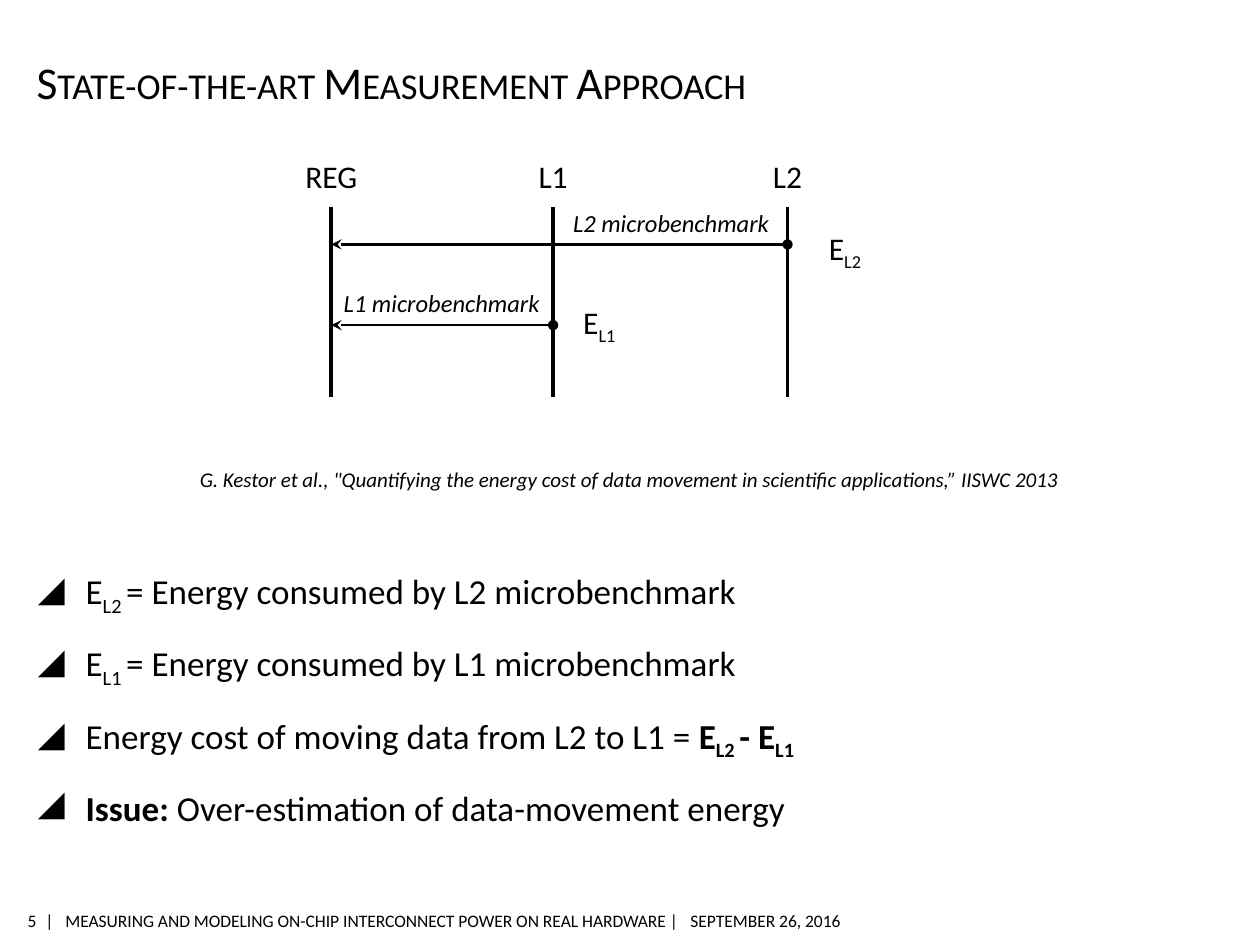
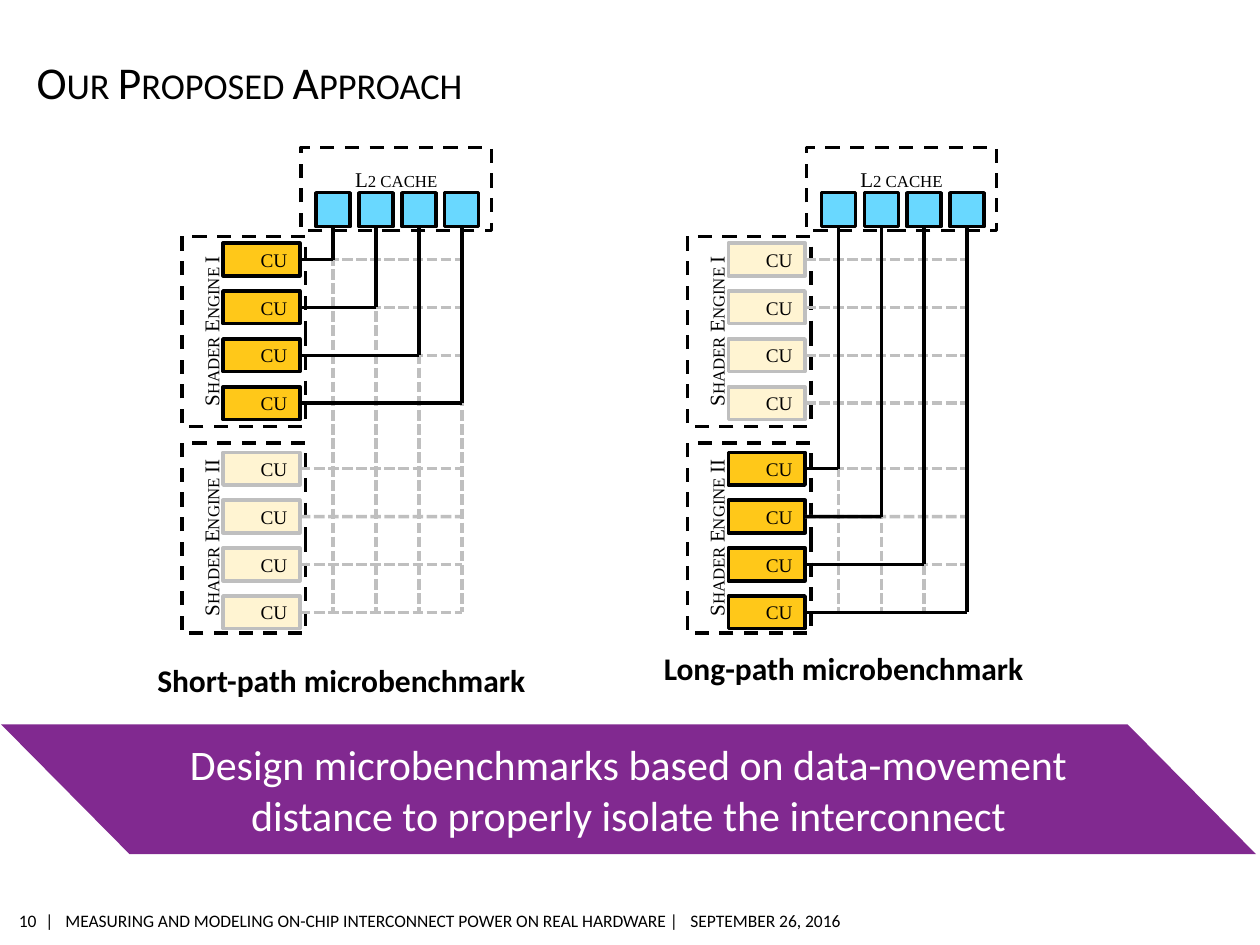
from lxml import etree
from pptx import Presentation
from pptx.dml.color import RGBColor
from pptx.enum.dml import MSO_LINE
from pptx.enum.shapes import MSO_CONNECTOR, MSO_SHAPE
from pptx.enum.text import MSO_ANCHOR, PP_ALIGN
from pptx.oxml.ns import qn
from pptx.util import Inches, Pt

# Shared look
BLACK = RGBColor(0x00, 0x00, 0x00)
WHITE = RGBColor(0xFF, 0xFF, 0xFF)
GREY = RGBColor(0xBF, 0xBF, 0xBF)
BLUE = RGBColor(0x69, 0xD8, 0xFF)
AMBER = RGBColor(0xFF, 0xC8, 0x19)
PALE_AMBER = RGBColor(0xFF, 0xDA, 0x65)
PURPLE = RGBColor(0x81, 0x29, 0x90)
SANS, SERIF = "Calibri", "Times New Roman"
LEFT, CENTER, RIGHT = PP_ALIGN.LEFT, PP_ALIGN.CENTER, PP_ALIGN.RIGHT
TOP, MIDDLE, BOTTOM = MSO_ANCHOR.TOP, MSO_ANCHOR.MIDDLE, MSO_ANCHOR.BOTTOM
DASH, SHORT_DASH = MSO_LINE.DASH, MSO_LINE.SQUARE_DOT
RECTANGLE, PARALLELOGRAM = MSO_SHAPE.RECTANGLE, MSO_SHAPE.PARALLELOGRAM
STRAIGHT = MSO_CONNECTOR.STRAIGHT
BOTTOM_SIDE, RIGHT_SIDE = 2, 3
DEFAULT_INSETS = (0.1, 0.05, 0.1, 0.05)

FOOTER = ("|\tMEASURING AND MODELING ON-CHIP INTERCONNECT POWER ON REAL HARDWARE |"
          "\tSEPTEMBER 26, 2016")
FOOTER_TABS = (0.16, 5.12)

# Slide 5: runs are (text, style), where style holds "s" for subscript, "b" for bold
STATE_TITLE = "State-of-the-art Measurement Approach"
LEVELS = {"REG": (2.63, 1.2), "L1": (4.39, 0.72), "L2": (6.25, 0.72)}  # x, label width
LEVEL_TOP, LEVEL_BOTTOM = 1.64, 3.15
MEASUREMENTS = [  # level, arrow y, benchmark label place, energy label place
    ("L2", 1.94, (4.45, 1.6), (6.48, 1.77)),
    ("L1", 2.58, (2.63, 2.24), (4.53, 2.36)),
]
CITATION = ('G. Kestor et al., "Quantifying the energy cost of data movement '
            'in scientific applications,” IISWC 2013')
BULLETS = [
    [("E", ""), ("L2 ", "s"), ("= Energy consumed by L2 microbenchmark", "")],
    [("E", ""), ("L1 ", "s"), ("= Energy consumed by L1 microbenchmark", "")],
    [("Energy cost of moving data from L2 to L1 = ", ""), ("E", "b"), ("L2 ", "bs"),
     ("- E", "b"), ("L1", "bs")],
    [("Issue:", "b"), (" Over-estimation of data-movement energy", "")],
]

# Slide 10: places belong to the left diagram; the right one is shifted
PROPOSED_TITLE = "Our Proposed Approach"
DIAGRAMS = [  # shift, active engine, caption, caption place
    (0, 0, "Short-path microbenchmark", (1.15, 5.2)),
    (4.01, 1, "Long-path microbenchmark", (5.17, 5.1)),
]
ENGINES = [("Shader Engine I", 2.14, 1.93), ("Shader Engine II", 3.78, 3.59)]
UNITS, UNIT_STEP = 4, 0.38
UNIT_LEFT, UNIT_WIDTH, UNIT_HEIGHT = 1.77, 0.61, 0.26
BANK_LEFT, BANK_TOP, BANK_SIZE, BANK_STEP = 2.51, 1.53, 0.27, 0.34
GRID_BOTTOM = 4.86
MESSAGE = ("Design microbenchmarks based on data-movement distance "
           "to properly isolate the interconnect")


def add_child(parent, tag, **attributes):
    child = etree.SubElement(parent, qn(tag))
    for name, value in attributes.items():
        child.set(name, value)
    return child


def set_frame(shape, anchor, insets):
    frame = shape.text_frame
    frame.word_wrap = True
    frame.vertical_anchor = anchor
    (frame.margin_left, frame.margin_top,
     frame.margin_right, frame.margin_bottom) = map(Inches, insets)
    return frame


def style_paragraph(paragraph, size, align=LEFT, font=SANS, color=BLACK,
                    bold=False, italic=False, small_caps=False):
    paragraph.alignment = align
    paragraph.font.size = Pt(size)
    paragraph.font.name = font
    paragraph.font.color.rgb = color
    paragraph.font.bold = bold
    paragraph.font.italic = italic
    if small_caps:
        paragraph.font._element.set("cap", "small")


def add_runs(paragraph, runs):
    for text, style in runs:
        run = paragraph.add_run()
        run.text = text
        if "b" in style:
            run.font.bold = True
        if "s" in style:
            run.font._element.set("baseline", "-25000")


def add_text(slide, place, runs, size, anchor=TOP, insets=DEFAULT_INSETS, tabs=(), **style):
    box = slide.shapes.add_textbox(*map(Inches, place))
    paragraph = set_frame(box, anchor, insets).paragraphs[0]
    add_runs(paragraph, [(runs, "")] if isinstance(runs, str) else runs)
    if tabs:
        tab_list = add_child(paragraph._p.get_or_add_pPr(), "a:tabLst")
        for position in tabs:
            add_child(tab_list, "a:tab", pos=str(Inches(position)), algn="l")
    style_paragraph(paragraph, size, **style)


def add_box(slide, place, fill=None, line=BLACK, dash=None, kind=RECTANGLE):
    shape = slide.shapes.add_shape(kind, *map(Inches, place))
    shape.shadow.inherit = False
    if fill is None:
        shape.fill.background()
    else:
        shape.fill.solid()
        shape.fill.fore_color.rgb = fill
    if line is None:
        shape.line.fill.background()
    else:
        shape.line.color.rgb = line
        shape.line.width = Pt(2)
        shape.line.dash_style = dash
    return shape


def label_box(shape, text, size, anchor=MIDDLE, insets=DEFAULT_INSETS, **style):
    paragraph = set_frame(shape, anchor, insets).paragraphs[0]
    paragraph.text = text
    style_paragraph(paragraph, size, align=CENTER, **style)


def add_line(slide, start, end, color=BLACK, width=2, dash=None, measured=False, joint=None):
    connector = slide.shapes.add_connector(STRAIGHT, *map(Inches, (*start, *end)))
    if joint:
        connector.begin_connect(*joint)
    connector.line.color.rgb = color
    connector.line.width = Pt(width)
    connector.line.dash_style = dash
    if measured:
        outline = connector.line._get_or_add_ln()
        add_child(outline, "a:headEnd", type="oval")
        add_child(outline, "a:tailEnd", type="stealth")
    add_child(connector._element.spPr, "a:effectLst")


def start_slide(presentation, number, title):
    slide = presentation.slides.add_slide(presentation.slide_layouts[6])
    footer_insets = (0, 0.04, 0, 0.04)
    add_text(slide, (0.13, 7.18, 0.16, 0.26), number, 10, MIDDLE, footer_insets, align=RIGHT)
    add_text(slide, (0.36, 7.18, 6.5, 0.26), FOOTER, 10, MIDDLE, footer_insets, FOOTER_TABS)
    add_text(slide, (0.29, 0.34, 8.2, 0.52), title, 26, BOTTOM, (0, 0.05, 0, 0),
             small_caps=True)
    return slide


def add_bullets(slide):
    box = slide.shapes.add_textbox(*map(Inches, (0.3, 4.47, 9.4, 2.12)))
    frame = set_frame(box, TOP, (0, 0.05, 0, 0.05))
    for index, runs in enumerate(BULLETS):
        paragraph = frame.add_paragraph() if index else frame.paragraphs[0]
        properties = paragraph._p.get_or_add_pPr()
        properties.set("marL", str(Inches(0.38)))
        properties.set("indent", str(-Inches(0.38)))
        add_child(add_child(properties, "a:buClr"), "a:srgbClr", val=str(BLACK))
        add_child(properties, "a:buChar", char="◢")
        paragraph.space_before = Pt(8 if index else 0)
        paragraph.space_after = Pt(6)
        add_runs(paragraph, runs)
        style_paragraph(paragraph, 20)


def build_state_of_the_art(presentation):
    slide = start_slide(presentation, "5", STATE_TITLE)
    add_bullets(slide)
    add_text(slide, (0.82, 3.65, 8.35, 0.3), CITATION, 12, align=CENTER, italic=True)
    # Memory levels
    for level, (x, width) in LEVELS.items():
        add_line(slide, (x, LEVEL_TOP), (x, LEVEL_BOTTOM), width=2.25)
        add_text(slide, (x - width / 2, 1.2, width, 0.4), level, 18, align=CENTER)
    # Measured data movements
    for level, y, benchmark_place, energy_place in MEASUREMENTS:
        add_line(slide, (LEVELS[level][0], y), (LEVELS["REG"][0], y), width=1.25, measured=True)
        add_text(slide, (*energy_place, 0.79, 0.4), [("E", ""), (level, "s")], 18)
        add_text(slide, (*benchmark_place, 2.03, 0.34), f"{level} microbenchmark", 14,
                 italic=True)


def add_unit(slide, left, top, active):
    unit = add_box(slide, (left, top, UNIT_WIDTH, UNIT_HEIGHT),
                   AMBER if active else PALE_AMBER, BLACK if active else GREY)
    if not active:
        color = unit._element.spPr.find(qn("a:solidFill")).find(qn("a:srgbClr"))
        add_child(color, "a:alpha", val="29000")
    label_box(unit, "CU", 11, insets=(0.25, 0.05, 0.05, 0.05), font=SERIF)
    return unit


def add_diagram(slide, shift, active_engine):
    # Engines and their compute units
    units = []
    for engine, (name, box_top, first_top) in enumerate(ENGINES):
        box = add_box(slide, (1.18 + shift, box_top, 1.51, 0.98), dash=DASH)
        box.rotation = 270
        label_box(box, name, 12, TOP, (0.1, 0.13, 0.1, 0.05), font=SERIF, small_caps=True)
        units.append([add_unit(slide, UNIT_LEFT + shift, first_top + row * UNIT_STEP,
                               engine == active_engine) for row in range(UNITS)])
    # Cache banks
    bank_lefts = [BANK_LEFT + shift + column * BANK_STEP for column in range(UNITS)]
    banks = [add_box(slide, (left, BANK_TOP, BANK_SIZE, BANK_SIZE), BLUE)
             for left in bank_lefts]
    bus_xs = [left + BANK_SIZE / 2 for left in bank_lefts]
    bank_bottom = BANK_TOP + BANK_SIZE
    unit_right = UNIT_LEFT + UNIT_WIDTH + shift

    def unit_wire(engine, row, x, **look):
        y = ENGINES[engine][2] + row * UNIT_STEP + UNIT_HEIGHT / 2
        add_line(slide, (unit_right, y), (x, y), joint=(units[engine][row], RIGHT_SIDE), **look)
        return y

    def bank_wire(column, y, **look):
        x = bus_xs[column]
        add_line(slide, (x, bank_bottom), (x, y), joint=(banks[column], BOTTOM_SIDE), **look)

    # Idle grid, then the active paths over it
    idle = {"color": GREY, "dash": SHORT_DASH}
    for index in range(UNITS):
        for engine in range(len(ENGINES)):
            unit_wire(engine, index, bus_xs[-1], **idle)
        bank_wire(index, GRID_BOTTOM, **idle)
    for index, x in enumerate(bus_xs):
        bank_wire(index, unit_wire(active_engine, index, x))
    # Cache outline
    cache = add_box(slide, (2.39 + shift, 1.17, 1.51, 0.66), dash=DASH)
    label_box(cache, "L2 cache", 12, TOP, (0.1, 0.15, 0.1, 0.05), font=SERIF, small_caps=True)


def build_proposed_approach(presentation):
    slide = start_slide(presentation, "10", PROPOSED_TITLE)
    for shift, active_engine, caption, place in DIAGRAMS:
        add_diagram(slide, shift, active_engine)
        add_text(slide, (*place, 3.4, 0.4), caption, 18, bold=True)
    # Message band
    band = add_box(slide, (0.01, 5.75, 9.96, 1.03), PURPLE, None, kind=PARALLELOGRAM)
    band.adjustments[0] = 0.99
    band._element.spPr.find(qn("a:xfrm")).set("flipH", "1")
    label_box(band, MESSAGE, 24, color=WHITE)


def main():
    presentation = Presentation()
    presentation.slide_width, presentation.slide_height = Inches(10), Inches(7.5)
    build_state_of_the_art(presentation)
    build_proposed_approach(presentation)
    presentation.save("out.pptx")


if __name__ == "__main__":
    main()
